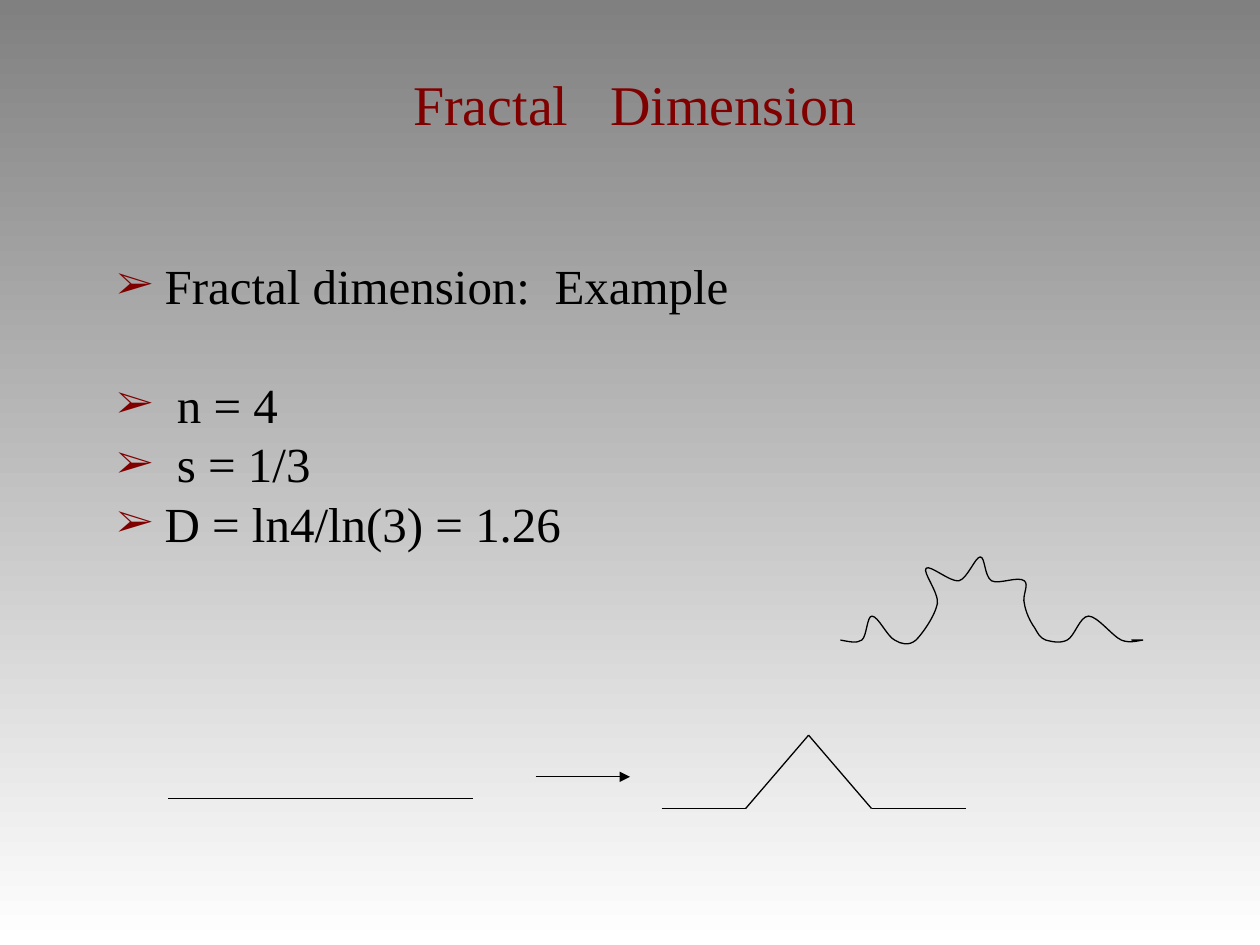
from dataclasses import dataclass

from lxml.etree import SubElement
from pptx import Presentation
from pptx.dml.color import RGBColor
from pptx.enum.shapes import MSO_CONNECTOR as Connector
from pptx.enum.text import MSO_ANCHOR as Anchor, PP_ALIGN as Align
from pptx.oxml.ns import qn
from pptx.util import Cm, Pt


@dataclass(frozen=True)
class Theme:
    font: str = "Times New Roman"
    accent: str = "800000"
    ink: str = "000000"
    top: str = "808080"
    bottom: str = "FFFFFF"
    title_size: float = 32
    body_size: float = 28
    line_width: float = 0.75


THEME = Theme()
BULLET_INDENT = Cm(0.96)
GAP, WIDE_GAP = 7, 41  # points before a paragraph

# Text and space before it
BODY = [
    ("Fractal dimension:  Example", GAP),
    (" n = 4", WIDE_GAP),
    (" s = 1/3", GAP),
    ("D = ln4/ln(3) = 1.26", GAP),
]

# Corners in cm
GENERATOR = [(13.34, 16.3), (15.03, 16.3), (16.3, 14.82), (17.57, 16.3), (19.47, 16.3)]
INITIATOR = [(3.39, 16.09), (9.53, 16.09)]
ARROW = [(10.8, 15.66), (12.7, 15.66)]

# Bezier curve: a start, then two controls and an end for each piece
CURVE_UNIT = Cm(2.54) / 100
CURVE_START = (667, 508)
CURVE = [
    ((673, 509), (680, 511), (684, 508)),
    ((688, 505), (688, 489), (692, 489)),
    ((697, 489), (704, 505), (710, 508)),
    ((715, 511), (721, 513), (727, 508)),
    ((732, 503), (742, 489), (744, 479)),
    ((745, 470), (732, 454), (735, 451)),
    ((738, 448), (754, 462), (761, 461)),
    ((768, 459), (774, 442), (778, 442)),
    ((782, 442), (781, 457), (787, 461)),
    ((793, 464), (808, 457), (813, 461)),
    ((817, 464), (811, 473), (813, 479)),
    ((814, 486), (818, 494), (821, 498)),
    ((824, 503), (825, 506), (830, 508)),
    ((834, 509), (841, 511), (847, 508)),
    ((853, 505), (857, 489), (864, 489)),
    ((871, 489), (883, 505), (890, 508)),
    ((897, 511), (905, 508), (907, 508)),
    ((908, 508), (903, 508), (898, 508)),
]


def color(value):
    return RGBColor.from_string(value)


def set_background(slide):
    fill = slide.background.fill
    fill.gradient()
    fill.gradient_angle = 270
    for stop, value, position in zip(fill.gradient_stops, (THEME.top, THEME.bottom), (0, 1)):
        stop.color.rgb = color(value)
        stop.position = position


def add_frame(slide, left, top, width, height, anchor=Anchor.TOP):
    box = slide.shapes.add_textbox(Cm(left), Cm(top), Cm(width), Cm(height))
    frame = box.text_frame
    frame.word_wrap = True
    frame.vertical_anchor = anchor
    return frame


def write(paragraph, text, *, size, fill, align, before=0, spacing=1.0):
    paragraph.alignment = align
    paragraph.line_spacing = spacing
    paragraph.space_before = Pt(before)
    run = paragraph.add_run()
    run.text = text
    run.font.name = THEME.font
    run.font.size = Pt(size)
    run.font.color.rgb = color(fill)


def add_bullet(paragraph):
    properties = paragraph._p.get_or_add_pPr()
    properties.set("marL", str(BULLET_INDENT))
    properties.set("indent", str(-BULLET_INDENT))
    bullet_color = SubElement(properties, qn("a:buClr"))
    SubElement(bullet_color, qn("a:srgbClr"), val=THEME.accent)
    SubElement(properties, qn("a:buSzPct"), val="80000")
    SubElement(properties, qn("a:buFont"), typeface=THEME.font)
    SubElement(properties, qn("a:buChar"), char="➢")


def style_line(shape):
    shape.line.color.rgb = color(THEME.ink)
    shape.line.width = Pt(THEME.line_width)


def add_lines(slide, points, arrow=False):
    for start, end in zip(points, points[1:]):
        ends = [Cm(value) for value in (*start, *end)]
        connector = slide.shapes.add_connector(Connector.STRAIGHT, *ends)
        style_line(connector)
        SubElement(connector._element.spPr, qn("a:effectLst"))
        if arrow:
            SubElement(connector.line._get_or_add_ln(), qn("a:tailEnd"), type="triangle")


def add_curve(slide, start, pieces):
    builder = slide.shapes.build_freeform(*start, scale=CURVE_UNIT)
    builder.add_line_segments([point for piece in pieces for point in piece], close=False)
    shape = builder.convert_to_shape()
    shape.shadow.inherit = False
    shape.fill.background()
    style_line(shape)

    # Join each three straight segments into one cubic piece
    outline = next(shape._element.iter(qn("a:path")))
    segments = outline.findall(qn("a:lnTo"))
    for first in range(0, len(segments), 3):
        cubic = SubElement(outline, qn("a:cubicBezTo"))
        for segment in segments[first:first + 3]:
            cubic.append(segment[0])
            outline.remove(segment)


def main():
    presentation = Presentation()
    presentation.slide_width, presentation.slide_height = Cm(25.4), Cm(19.05)
    slide = presentation.slides.add_slide(presentation.slide_layouts[6])
    set_background(slide)

    # Title
    title = add_frame(slide, 2.74, 1.45, 20.12, 1.27, Anchor.MIDDLE)
    write(title.paragraphs[0], "Fractal   Dimension", size=THEME.title_size,
          fill=THEME.accent, align=Align.CENTER)

    # Bulleted text
    body = add_frame(slide, 2.11, 5.26, 21.39, 6.17)
    for index, (text, before) in enumerate(BODY):
        paragraph = body.add_paragraph() if index else body.paragraphs[0]
        write(paragraph, text, size=THEME.body_size, fill=THEME.ink,
              align=Align.JUSTIFY, before=before, spacing=0.8)
        add_bullet(paragraph)

    # Drawing: a segment, its replacement and the resulting curve
    add_lines(slide, GENERATOR)
    add_lines(slide, INITIATOR)
    add_lines(slide, ARROW, arrow=True)
    add_curve(slide, CURVE_START, CURVE)

    presentation.save("out.pptx")


if __name__ == "__main__":
    main()
